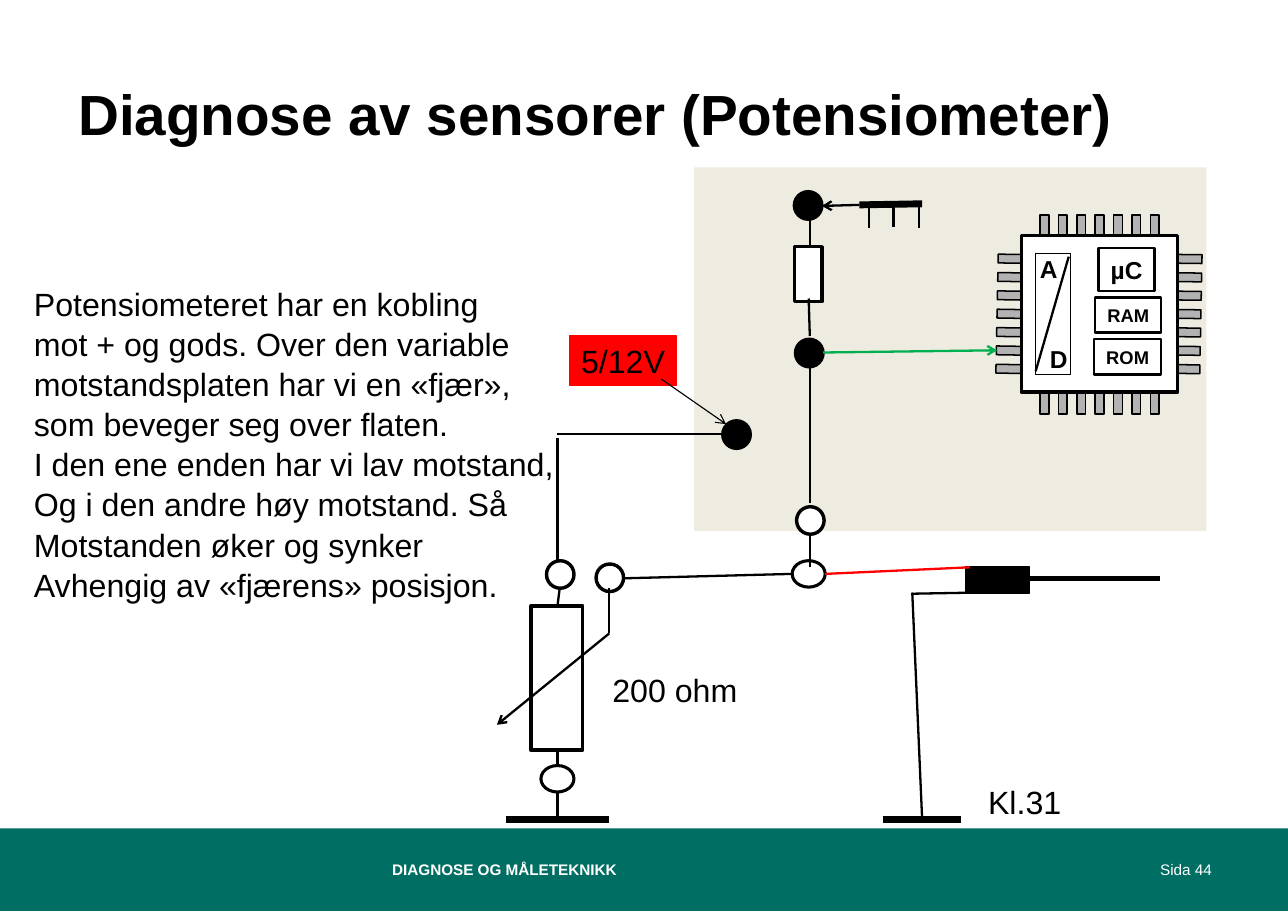
from lxml import etree
from pptx import Presentation, util as u
from pptx.dml.color import RGBColor
from pptx.enum import shapes, text
from pptx.oxml.ns import qn

rgb = RGBColor.from_string
RECT, OVAL = shapes.MSO_SHAPE.RECTANGLE, shapes.MSO_SHAPE.OVAL
LEFT, CENTER, RIGHT = text.PP_ALIGN.LEFT, text.PP_ALIGN.CENTER, text.PP_ALIGN.RIGHT
TOP, MIDDLE = text.MSO_ANCHOR.TOP, text.MSO_ANCHOR.MIDDLE


def add_box(parent, kind, box, fill, width=0, line="000000"):
    sp = parent.shapes.add_shape(kind, *map(u.Inches, box))
    sp.shadow.inherit = False
    sp.fill.solid()
    sp.fill.fore_color.rgb = rgb(fill)
    if width:
        sp.line.color.rgb = rgb(line)
        sp.line.width = u.Pt(width)
    else:
        sp.line.fill.background()
    return sp


def write(sp, lines, size, bold=False, color="000000", align=LEFT, anchor=TOP,
          wrap=False, inset=(0.1, 0.05), spacing=None):
    tf = sp.text_frame
    tf.auto_size = text.MSO_AUTO_SIZE.NONE
    tf.word_wrap = wrap
    tf.vertical_anchor = anchor
    tf.margin_left = tf.margin_right = u.Inches(inset[0])
    tf.margin_top = tf.margin_bottom = u.Inches(inset[1])
    for i, line in enumerate(lines):
        p = tf.add_paragraph() if i else tf.paragraphs[0]
        p.alignment = align
        p.space_before = u.Pt(0)
        if spacing:
            p.line_spacing = spacing
        r = p.add_run()
        r.text = line
        r.font.name = "Arial"
        r.font.size = u.Pt(size)
        r.font.bold = bold
        r.font.color.rgb = rgb(color)


prs = Presentation()
prs.slide_width, prs.slide_height = u.Inches(11.69), u.Inches(8.27)
s = prs.slides.add_slide(prs.slide_layouts[5])

# Title
title = s.shapes.title
title.left, title.top, title.width, title.height = map(u.Inches, (0.6, 0.66, 10.51, 1.13))
write(title, ["Diagnose av sensorer (Potensiometer)"], 37, True, wrap=True, inset=(0.11, 0.06))

# Footer band
add_box(s, RECT, (0, 7.52, 11.69, 0.75), "006E63")
for label, left, width, bold, align in [
    ("Sida 44", 9.35, 1.76, False, RIGHT),
    ("DIAGNOSE OG MÅLETEKNIKK", 3.45, 6.63, True, LEFT),
]:
    tb = s.shapes.add_textbox(*map(u.Inches, (left, 7.52, width, 0.75)))
    write(tb, [label], 10, bold, "FFFFFF", align, MIDDLE, True, (0.11, 0.06))

# Control unit background
add_box(s, RECT, (6.3, 1.52, 4.65, 3.3), "EEECE1")

# Microcontroller: seven pins on each side, then the body
chip = s.shapes.add_group_shape()
for i in range(7):
    step = i / 6
    for left, top, angle in [
        (9.44 + step, 1.95, 0),
        (9.44 + step, 3.34, 0),
        (10.66 - 0.02 * step, 2.14 + step, 270.7),
        (9.23 - 0.02 * step, 2.14 + step, 270.9),
    ]:
        pin = add_box(chip, RECT, (left, top, 0.08, 0.42), "B2B2B2", 1)
        pin.rotation = angle
add_box(chip, RECT, (9.27, 2.14, 1.42, 1.42), "FFFFFF", 2.25)
add_box(chip, RECT, (9.4, 2.3, 0.32, 1.1), "FFFFFF", 0.75)
for label, box in [("A", (9.34, 2.26, 0.4, 0.37)), ("D", (9.43, 3.07, 0.3, 0.37))]:
    write(chip.shapes.add_textbox(*map(u.Inches, box)), [label], 16, True, wrap=True)
for label, box, size in [
    ("µC", (9.97, 2.25, 0.51, 0.39), 16),
    ("RAM", (9.94, 2.7, 0.6, 0.32), 12),
    ("ROM", (9.93, 3.08, 0.61, 0.32), 12),
]:
    sp = add_box(chip, RECT, box, "FFFFFF", 1.5)
    write(sp, [label], size, True, align=CENTER, anchor=MIDDLE)

# Round nodes: black inside the unit, white at the terminals
for left, top, fill in [
    (7.21, 1.74, "000000"), (7.22, 3.08, "000000"), (6.56, 3.82, "000000"),
    (7.23, 4.6, "FFFFFF"), (4.96, 5.09, "FFFFFF"), (5.41, 5.12, "FFFFFF"),
]:
    add_box(s, OVAL, (left, top, 0.25, 0.25), fill, 2.25)
for left, top in [(7.19, 5.09), (4.91, 6.95)]:
    add_box(s, OVAL, (left, top, 0.3, 0.24), "FFFFFF", 2)

# Resistor, potentiometer and plug
add_box(s, RECT, (7.21, 2.24, 0.25, 0.5), "FFFFFF", 2.25)
add_box(s, RECT, (4.82, 5.5, 0.47, 1.31), "FFFFFF", 2.25)
add_box(s, RECT, (8.76, 5.14, 0.58, 0.25), "000000", 0.75)

# Supply voltage label
supply = add_box(s, RECT, (5.17, 3.05, 0.97, 0.45), "FF0000", 0.75, "FF0000")
write(supply, ["5/12V"], 21, align=CENTER, anchor=MIDDLE)

# Wires: x1, y1, x2, y2, width, colour, arrowhead
plain = [(*ends, 1.5, "000000", False) for ends in [
    (9.7, 2.33, 9.4, 3.37),
    (7.35, 1.96, 7.35, 2.25), (7.35, 3.05, 7.34, 2.71),
    (7.35, 3.31, 7.35, 4.57), (7.35, 4.86, 7.35, 5.15),
    (8.83, 5.38, 8.28, 5.39), (8.28, 5.38, 8.37, 7.44),
    (7.89, 1.84, 7.89, 2.07), (8.11, 1.85, 8.11, 2.06), (8.34, 1.86, 8.34, 2.07),
    (5.06, 6.81, 5.06, 6.95), (5.06, 7.18, 5.06, 7.44),
    (6.56, 3.94, 5.06, 3.94), (5.06, 3.98, 5.06, 5.09),
    (5.08, 5.34, 5.06, 5.5), (5.53, 5.75, 5.53, 5.34),
    (5.66, 5.25, 7.19, 5.21),
]]
special = [
    (8.01, 7.44, 8.72, 7.44, 4.5, "000000", False),
    (4.59, 7.44, 5.53, 7.44, 4.5, "000000", False),
    (7.8, 1.86, 8.37, 1.85, 4.5, "000000", False),
    (10.53, 5.25, 9.32, 5.25, 3, "000000", False),
    (8.8, 5.15, 7.49, 5.21, 1.5, "FF0000", False),
    (7.47, 3.2, 9.05, 3.18, 1.5, "00B050", True),
    (7.8, 1.86, 7.46, 1.87, 1.5, "000000", True),
    (5.53, 5.75, 4.51, 6.58, 1.5, "000000", True),
    (6, 3.44, 6.59, 3.85, 0.75, "000000", True),
]
for *ends, width, color, arrow in plain + special:
    wire = s.shapes.add_connector(shapes.MSO_CONNECTOR.STRAIGHT, *map(u.Inches, ends))
    wire.line.color.rgb = rgb(color)
    wire.line.width = u.Pt(width)
    if arrow:
        etree.SubElement(wire.line._get_or_add_ln(), qn("a:tailEnd"), type="arrow")
    etree.SubElement(wire._element.spPr, qn("a:effectLst"))

# Component labels and explanation
explanation = [
    "Potensiometeret har en kobling",
    "mot + og gods. Over den variable",
    "motstandsplaten har vi en «fjær»,",
    "som beveger seg over flaten.",
    "I den ene enden har vi lav motstand,",
    "Og i den andre høy motstand. Så",
    "Motstanden øker og synker",
    "Avhengig av «fjærens» posisjon.",
]
for lines, box, spacing in [
    (["Kl.31"], (8.87, 7.05, 0.87, 0.45), None),
    (["200 ohm"], (5.46, 6.04, 1.34, 0.45), None),
    (explanation, (0.21, 2.52, 4.96, 2.93), 1.04),
]:
    write(s.shapes.add_textbox(*map(u.Inches, box)), lines, 21, spacing=spacing)

prs.save("out.pptx")
